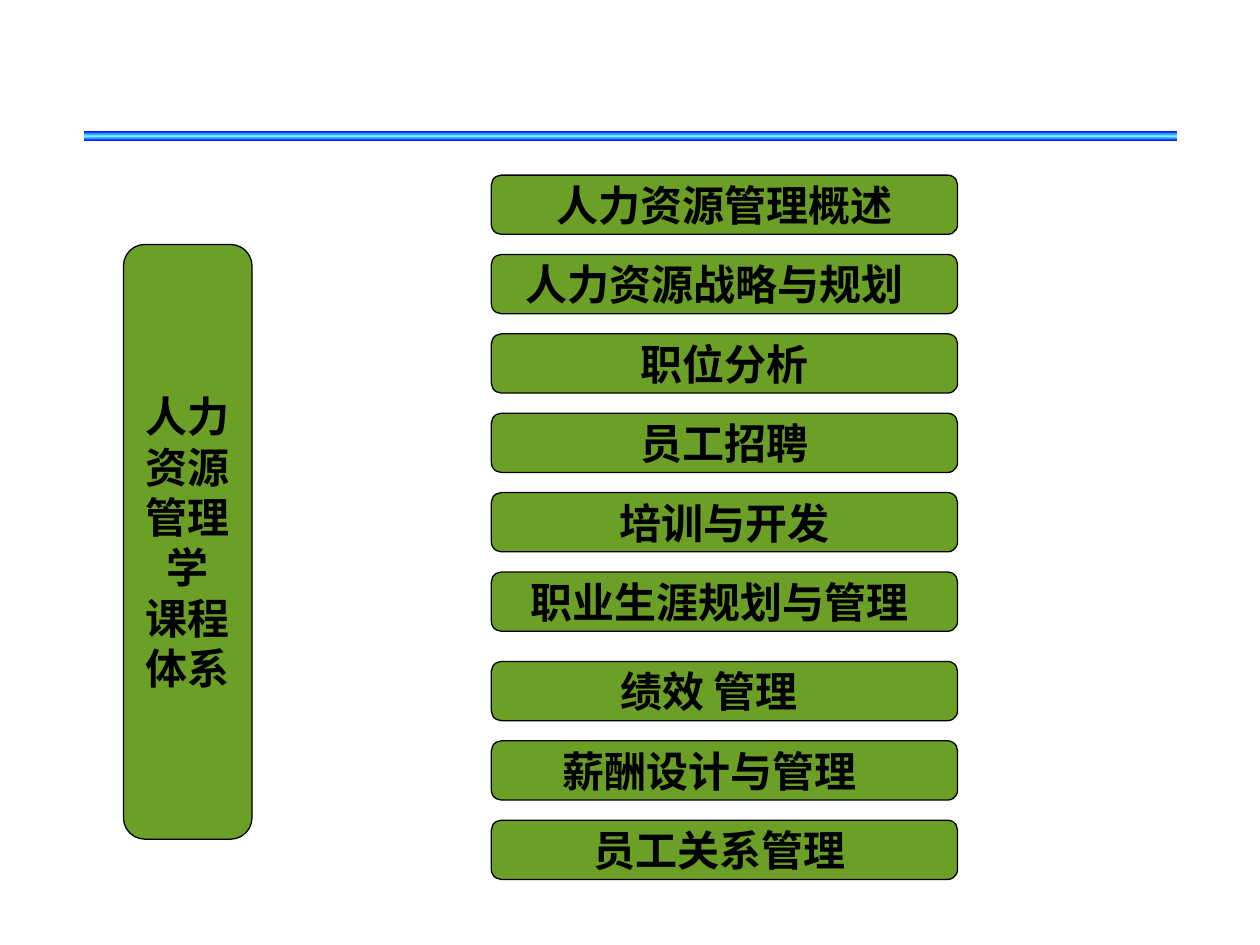
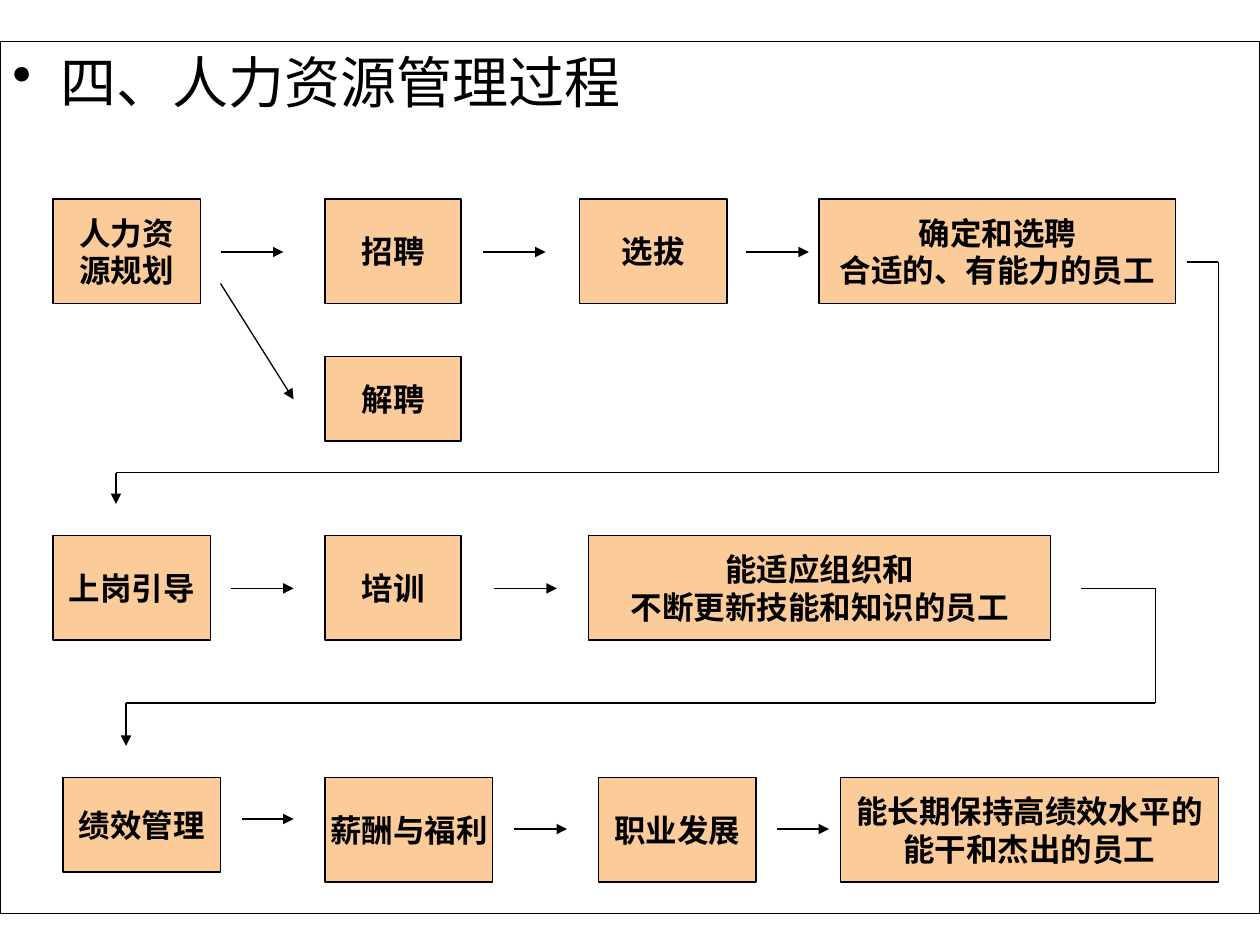
"""Build two slides: the HR course outline and the HR management process."""
from copy import deepcopy
from itertools import pairwise

from pptx import Presentation
from pptx import util as u
from pptx.dml.color import RGBColor
from pptx.enum import shapes, text
from pptx.oxml.ns import qn
from lxml import etree

HUES = {"ink": "000000", "paper": "FFFFFF", "green": "6B9F25",
        "peach": "FBCC9A", "blue": "0000FF", "cyan": "66FFFF"}
SERIF, SANS = "Times New Roman", "Lato"
PAD, SPACE = 0.1, 0.08

COURSE = ["人力", "资源", "管理", "学", "课程", "体系"]
# Each topic: wording and how many space widths it sits off centre.
TOPICS = [
    ("人力资源管理概述", 0), ("人力资源战略与规划", 2), ("职位分析", 0),
    ("员工招聘", 0), ("培训与开发", 0), ("职业生涯规划与管理", 1),
    ("绩效 管理", 3), ("薪酬设计与管理", 3), ("员工关系管理", 1),
]
SPLIT = 6

TITLE = "四、人力资源管理过程"
STEPS = [
    (1.58, [(0.42, 1.17, 0.83, ["人力资", "源规划"]),
            (2.58, 1.08, 0.83, ["招聘"]),
            (4.6, 1.17, 0.83, ["选拔"]),
            (6.5, 2.83, 0.83, ["确定和选聘", "合适的、有能力的员工"])]),
    (2.83, [(2.58, 1.08, 0.67, ["解聘"])]),
    (4.25, [(0.42, 1.25, 0.83, ["上岗引导"]),
            (2.58, 1.08, 0.83, ["培训"]),
            (4.67, 3.67, 0.83, ["能适应组织和", "不断更新技能和知识的员工"])]),
    (6.17, [(0.5, 1.25, 0.75, ["绩效管理"]),
            (2.58, 1.33, 0.83, ["薪酬与福利"]),
            (4.75, 1.25, 0.83, ["职业发展"]),
            (6.67, 3, 0.83, ["能长期保持高绩效水平的", "能干和杰出的员工"])]),
]
ROUTES = [
    [(1.75, 2), (2.25, 2)], [(3.83, 2), (4.33, 2)], [(5.92, 2), (6.42, 2)],
    [(1.75, 2.25), (2.33, 3.17)],
    [(9.42, 2.08), (9.67, 2.08), (9.67, 3.75), (0.92, 3.75), (0.92, 4)],
    [(1.83, 4.67), (2.33, 4.67)], [(3.92, 4.67), (4.42, 4.67)],
    [(8.58, 4.67), (9.17, 4.67), (9.17, 5.58), (1, 5.58), (1, 5.92)],
    [(1.92, 6.5), (2.33, 6.5)], [(4.08, 6.58), (4.5, 6.58)],
    [(6.17, 6.58), (6.58, 6.58)],
]


def hue(name):
    return RGBColor.from_string(HUES[name])


def shape(slide, kind, box, fill=None):
    item = slide.shapes.add_shape(kind, *map(u.Inches, box))
    item.shadow.inherit = False
    if fill:
        item.fill.solid()
        item.fill.fore_color.rgb = hue(fill)
        item.line.color.rgb = hue("ink")
        item.line.width = u.Pt(0.75)
    return item


def write(item, lines, size=24, font=SERIF, bold=True, wrap=False, shift=0,
          align=text.PP_ALIGN.CENTER, anchor=text.MSO_ANCHOR.MIDDLE):
    frame = item.text_frame
    frame.word_wrap = wrap
    frame.vertical_anchor = anchor
    frame.margin_left = u.Inches(PAD)
    frame.margin_right = u.Inches(PAD + shift)
    frame.margin_top = frame.margin_bottom = u.Inches(PAD / 2)
    for i, line in enumerate(lines):
        para = frame.add_paragraph() if i else frame.paragraphs[0]
        para.alignment = align
        run = para.add_run()
        run.text = line
        run.font.size = u.Pt(size)
        run.font.name = font
        run.font.bold = bold
        run.font.color.rgb = hue("ink")
    return frame


def bullet(para, indent):
    para.space_before = u.Pt(8)
    props = para._p.get_or_add_pPr()
    props.set("marL", str(u.Inches(indent)))
    props.set("indent", str(-u.Inches(indent)))
    etree.SubElement(props, qn("a:buChar")).set("char", "•")


def band(slide):
    bar = shape(slide, shapes.MSO_SHAPE.RECTANGLE, (0.67, 1.04, 8.67, 0.08))
    bar.line.fill.background()
    bar.fill.gradient()
    bar.fill.gradient_angle = 90
    first = next(bar._element.iter(qn("a:gs")))
    first.addnext(deepcopy(first))
    for stop, (place, name) in zip(bar.fill.gradient_stops,
                                   [(0, "blue"), (0.5, "cyan"), (1, "blue")]):
        stop.position = place
        stop.color.rgb = hue(name)


def route(slide, points):
    for start, end in pairwise(points):
        line = slide.shapes.add_connector(
            shapes.MSO_CONNECTOR.STRAIGHT, *map(u.Inches, start + end))
        line.line.color.rgb = hue("ink")
        line.line.width = u.Pt(0.75)
        etree.SubElement(line._element.spPr, qn("a:effectLst"))
    etree.SubElement(line.line._get_or_add_ln(), qn("a:tailEnd")).set("type", "triangle")


def outline(slide):
    kind = shapes.MSO_SHAPE.FLOWCHART_ALTERNATE_PROCESS
    band(slide)
    write(shape(slide, kind, (0.98, 1.94, 1.02, 4.72), "green"), COURSE)
    for i, (topic, off) in enumerate(TOPICS):
        top = 1.39 + 0.63 * i + (0.08 if i >= SPLIT else 0)
        card = shape(slide, kind, (3.9, top, 3.7, 0.47), "green")
        write(card, [topic], shift=off * SPACE)


def process(slide):
    kind = shapes.MSO_SHAPE.RECTANGLE
    panel = shape(slide, kind, (0, 0.33, 10, 6.92), "paper")
    frame = write(panel, [TITLE], size=32, bold=False, wrap=True,
                  align=text.PP_ALIGN.LEFT, anchor=text.MSO_ANCHOR.TOP)
    bullet(frame.paragraphs[0], 0.38)
    for top, row in STEPS:
        for left, width, height, lines in row:
            step = shape(slide, kind, (left, top, width, height), "peach")
            write(step, lines, size=18, font=SANS)
    for points in ROUTES:
        route(slide, points)


def main():
    deck = Presentation()
    deck.slide_width, deck.slide_height = u.Inches(10), u.Inches(7.5)
    for build in (outline, process):
        build(deck.slides.add_slide(deck.slide_layouts[6]))
    deck.save("out.pptx")


if __name__ == "__main__":
    main()
